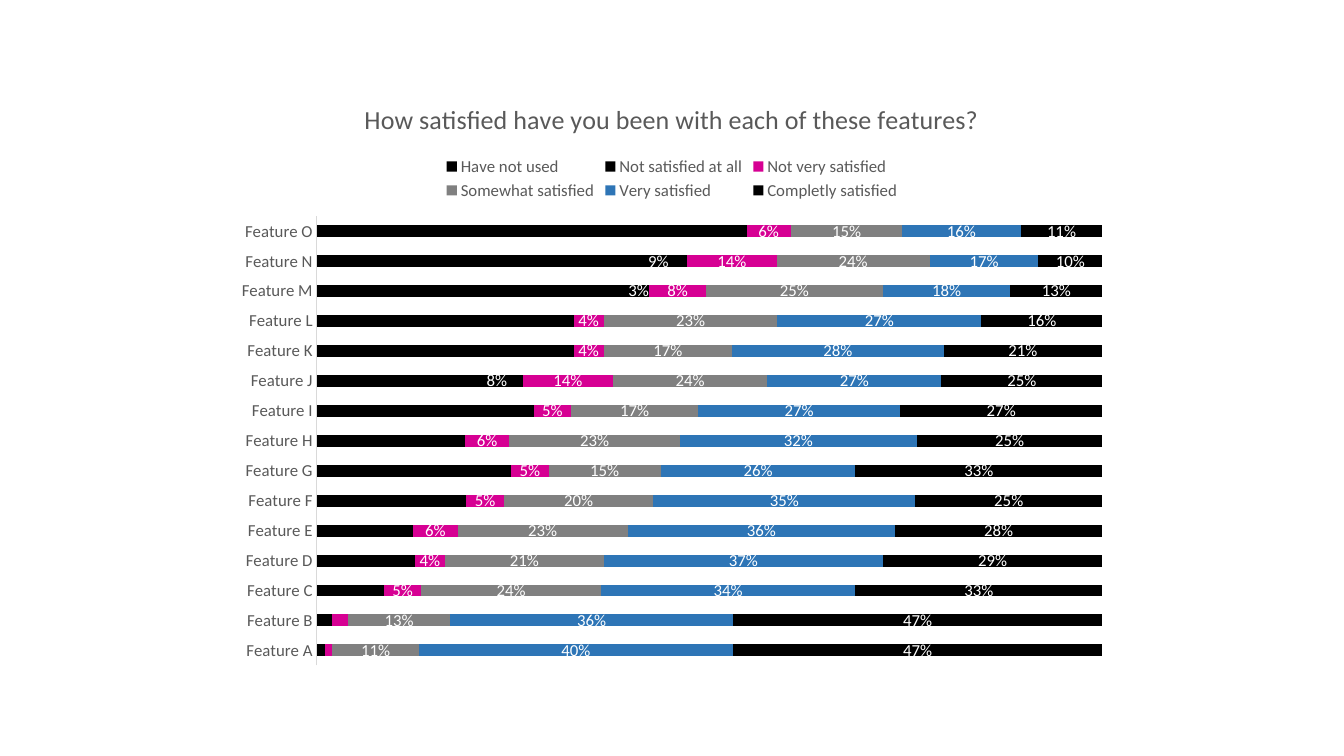
import pptx
import pptx.chart.data
import pptx.dml.color
import pptx.enum.chart
import pptx.oxml
import pptx.oxml.ns
import pptx.util
from pptx.util import Inches

COLORS = {
    "black": "000000",
    "pink": "D60093",
    "gray": "808080",
    "blue": "2E75B6",
    "text": "595959",
    "axis": "D9D9D9",
    "white": "FFFFFF",
}
FONT = "Calibri"
TITLE = "How satisfied have you been with each of these features?"
FEATURES = [f"Feature {letter}" for letter in "ABCDEFGHIJKLMNO"]
ANSWERS = [
    ("Have not used", "black", [1, 2, 9, 13, 13, 20, 26, 20, 29, 24, 34, 34, 44, 49, 58]),
    ("Not satisfied at all", "black", [0, 0, 0, 0, 0, 0, 0, 0, 0, 8, 0, 0, 3, 9, 0]),
    ("Not very satisfied", "pink", [1, 2, 5, 4, 6, 5, 5, 6, 5, 14, 4, 4, 8, 14, 6]),
    ("Somewhat satisfied", "gray", [11, 13, 24, 21, 23, 20, 15, 23, 17, 24, 17, 23, 25, 24, 15]),
    ("Very satisfied", "blue", [40, 36, 34, 37, 36, 35, 26, 32, 27, 27, 28, 27, 18, 17, 16]),
    ("Completly satisfied", "black", [47, 47, 33, 29, 28, 25, 33, 25, 27, 25, 21, 16, 13, 10, 11]),
]
UNLABELED = "Have not used"
SMALLEST_LABELED = 3


def rgb(name):
    return pptx.dml.color.RGBColor.from_string(COLORS[name])


def set_font(font, size=12, color="text"):
    font.name = FONT
    font.size = pptx.util.Pt(size)
    font.bold = False
    font.color.rgb = rgb(color)


def write_text(text_frame, text, **text_format):
    paragraph = text_frame.paragraphs[0]
    run = paragraph.add_run()
    run.text = text
    set_font(run.font, **text_format)


def label_series(series, percents):
    labels = series.data_labels
    set_font(labels.font, color="white")
    labels.number_format = "0%"
    labels.number_format_is_linked = False
    labels.position = pptx.enum.chart.XL_LABEL_POSITION.CENTER
    labels.show_value = True
    hidden = [index for index, percent in enumerate(percents) if percent < SMALLEST_LABELED]
    for position, index in enumerate(hidden):
        label = pptx.oxml.parse_xml(
            f'<c:dLbl {pptx.oxml.ns.nsdecls("c")}>'
            f'<c:idx val="{index}"/><c:delete val="1"/></c:dLbl>'
        )
        labels._element.insert(position, label)


presentation = pptx.Presentation()
presentation.slide_width = Inches(13.33)
presentation.slide_height = Inches(7.5)
slide = presentation.slides.add_slide(presentation.slide_layouts[6])

chart_data = pptx.chart.data.CategoryChartData(number_format="0%")
chart_data.categories = FEATURES
for name, color, percents in ANSWERS:
    chart_data.add_series(name, [percent / 100 for percent in percents])

chart = slide.shapes.add_chart(
    pptx.enum.chart.XL_CHART_TYPE.BAR_STACKED_100,
    Inches(2.22), Inches(0.79), Inches(8.89), Inches(5.93), chart_data,
).chart
set_font(chart.font, size=10, color="black")

chart.has_title = True
write_text(chart.chart_title.text_frame, TITLE, size=18.6)
chart.chart_title.include_in_layout = False

chart.has_legend = True
chart.legend.position = pptx.enum.chart.XL_LEGEND_POSITION.TOP
chart.legend.include_in_layout = False
set_font(chart.legend.font)

category_axis = chart.category_axis
category_axis.major_tick_mark = pptx.enum.chart.XL_TICK_MARK.NONE
category_axis.has_major_gridlines = False
category_axis.format.line.color.rgb = rgb("axis")
category_axis.format.line.width = pptx.util.Pt(0.75)
set_font(category_axis.tick_labels.font)

value_axis = chart.value_axis
value_axis.has_major_gridlines = False
value_axis.tick_labels.number_format = "0%"
value_axis.tick_labels.number_format_is_linked = False
value_axis.visible = False

plot = chart.plots[0]
plot.gap_width = 150
plot.overlap = 100
plot.vary_by_categories = False
for series, (name, color, percents) in zip(plot.series, ANSWERS):
    series.format.fill.solid()
    series.format.fill.fore_color.rgb = rgb(color)
    series.invert_if_negative = False
    if name != UNLABELED:
        label_series(series, percents)

presentation.save("out.pptx")
